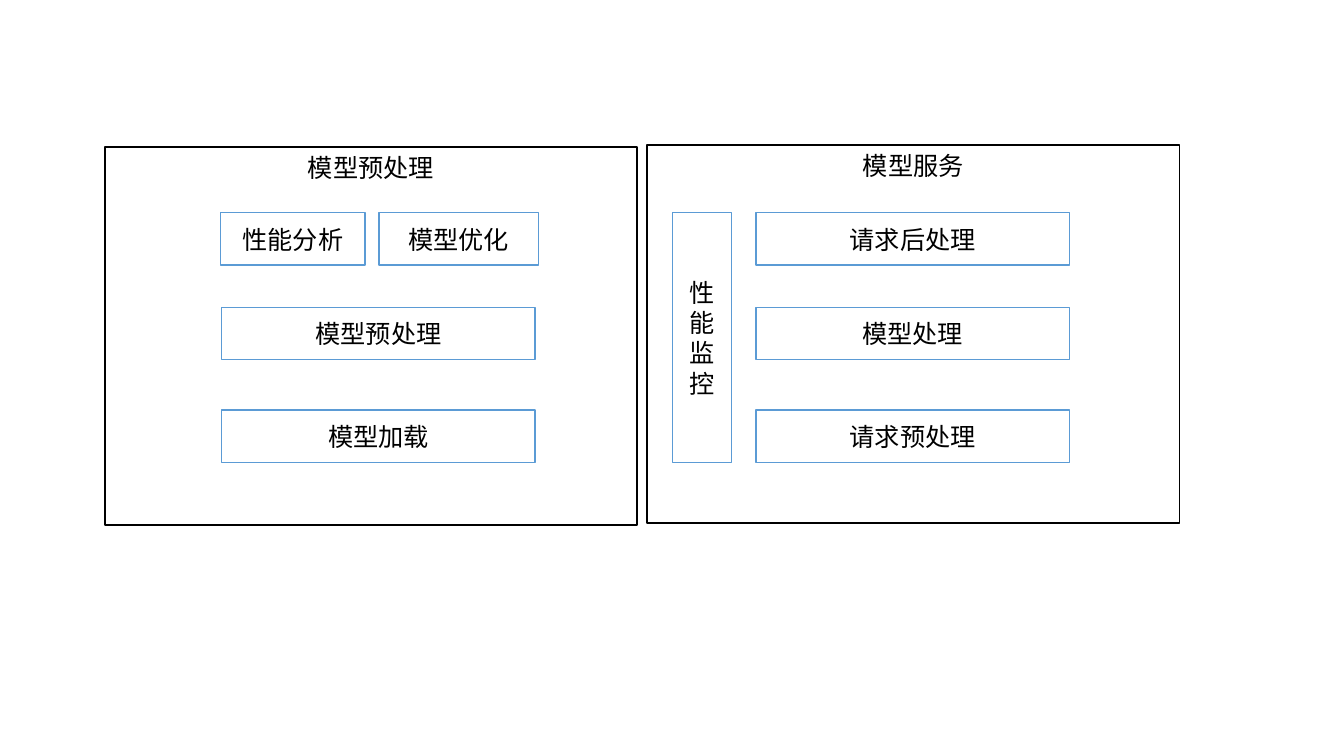
from lxml.etree import SubElement
from pptx import Presentation
from pptx.dml.color import RGBColor
from pptx.enum.shapes import MSO_SHAPE
from pptx.enum.text import MSO_ANCHOR, PP_ALIGN
from pptx.oxml.ns import qn
from pptx.util import Pt

FONT = "Noto Sans CJK SC"
BLACK, BLUE, WHITE = "000000", "5B9BD5", "FFFFFF"


def color(target, value):
    target.rgb = RGBColor.from_string(value)


def add_box(text, left, top, width, height, edge, anchor):
    box = slide.shapes.add_shape(
        MSO_SHAPE.RECTANGLE, Pt(left), Pt(top), Pt(width), Pt(height))
    box.shadow.inherit = False
    box.fill.solid()
    color(box.fill.fore_color, WHITE)
    color(box.line.color, edge)
    box.line.width = Pt(1)
    frame = box.text_frame
    frame.word_wrap = True
    frame.vertical_anchor = anchor
    para = frame.paragraphs[0]
    para.alignment = PP_ALIGN.CENTER
    para.line_spacing = Pt(21.7)
    run = para.add_run()
    run.text = text
    for name, value in {"name": FONT, "size": Pt(18)}.items():
        setattr(run.font, name, value)
    color(run.font.color, BLACK)
    # Chinese text takes its typeface from the East Asian font
    SubElement(run.font._element, qn("a:ea"), typeface=FONT)


deck = Presentation()
deck.slide_width, deck.slide_height = Pt(960), Pt(540)
slide = deck.slides.add_slide(deck.slide_layouts[6])

# Two framed panels, titled at the top
for title, left, top in [("模型服务", 462.2, 103.7), ("模型预处理", 74.9, 105.1)]:
    add_box(title, left, top, 380.2, 270, BLACK, MSO_ANCHOR.TOP)

# Steps: text, left, row, width
ROWS = [151.9, 219.6, 293]
HIGH, WIDE = 37.4, 223.9
PREP, SERVE = 158.4, 540
steps = [
    ("性能分析", 157.7, 0, 103),
    ("模型优化", 270.7, 0, 113.8),
    ("模型预处理", PREP, 1, WIDE),
    ("模型加载", PREP, 2, WIDE),
    ("请求后处理", SERVE, 0, WIDE),
    ("模型处理", SERVE, 1, WIDE),
    ("请求预处理", SERVE, 2, WIDE),
]
for text, left, row, width in steps:
    add_box(text, left, ROWS[row], width, HIGH, BLUE, MSO_ANCHOR.MIDDLE)

# Monitoring spans all three rows
span = ROWS[-1] + HIGH - ROWS[0]
add_box("性能监控", 480.2, ROWS[0], 42.5, span, BLUE, MSO_ANCHOR.MIDDLE)

deck.save("out.pptx")
